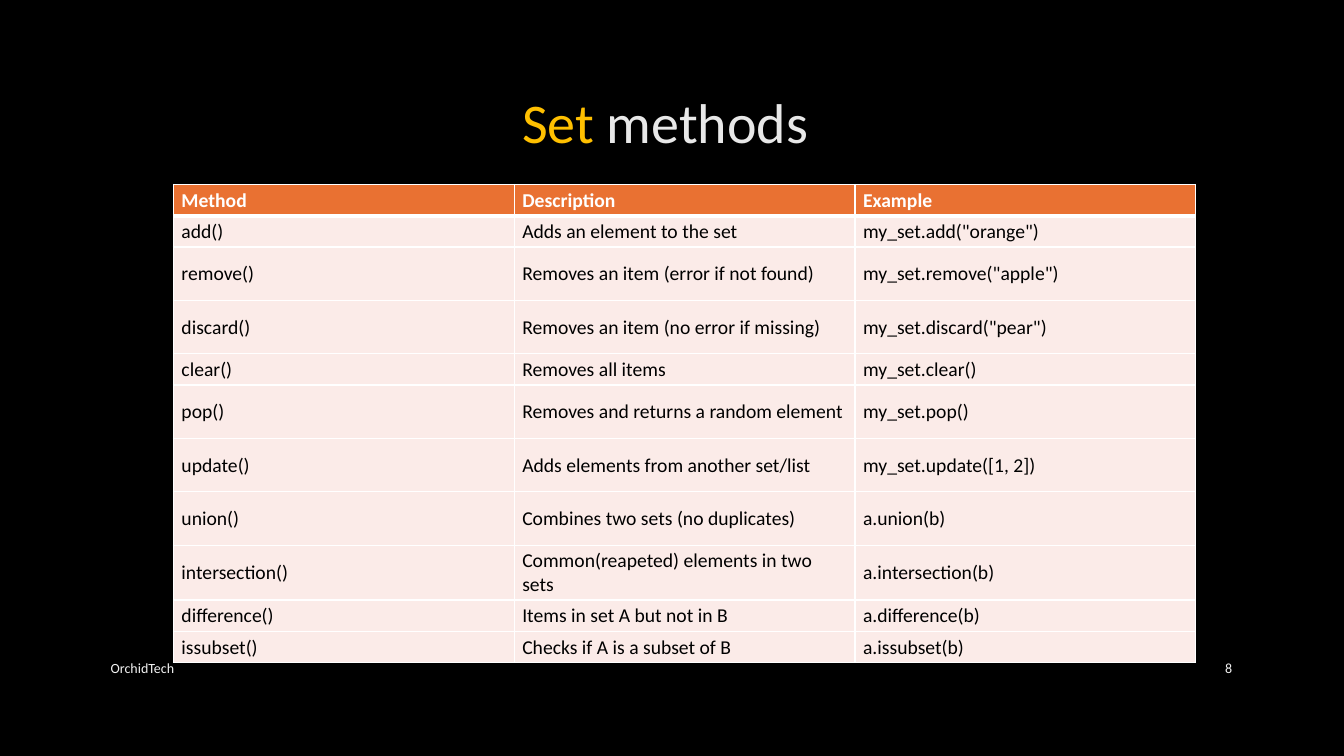
from lxml.etree import SubElement
from pptx import Presentation
from pptx.dml.color import RGBColor
from pptx.enum.text import MSO_ANCHOR as Anchor, PP_ALIGN as Align
from pptx.oxml import parse_xml
from pptx.oxml.ns import qn
from pptx.util import Pt

PX = 9144
FONT = "Calibri"
COLORS = {
    "background": "000000",
    "accent": "FFC000",
    "title": "E8E8E8",
    "outline": "404040",
    "header": "E97132",
    "row": "FBEBE8",
    "border": "FFFFFF",
    "header_text": "FFFFFF",
    "row_text": "000000",
    "footer": "F2F2F2",
}
NAMESPACE = "http://schemas.openxmlformats.org/drawingml/2006/main"
SHORT, TALL = 31, 53
METHODS = [
    (SHORT, "Method", "Description", "Example"),
    (SHORT, "add()", "Adds an element to the set", 'my_set.add("orange")'),
    (TALL, "remove()", "Removes an item (error if not found)", 'my_set.remove("apple")'),
    (TALL, "discard()", "Removes an item (no error if missing)", 'my_set.discard("pear")'),
    (SHORT, "clear()", "Removes all items", "my_set.clear()"),
    (TALL, "pop()", "Removes and returns a random element", "my_set.pop()"),
    (TALL, "update()", "Adds elements from another set/list", "my_set.update([1, 2])"),
    (TALL, "union()", "Combines two sets (no duplicates)", "a.union(b)"),
    (TALL, "intersection()", "Common(reapeted) elements in two sets", "a.intersection(b)"),
    (SHORT, "difference()", "Items in set A but not in B", "a.difference(b)"),
    (SHORT, "issubset()", "Checks if A is a subset of B", "a.issubset(b)"),
]


def scaled(box):
    return [length * PX for length in box]


def color(name):
    return RGBColor.from_string(COLORS[name])


def assign(target, values):
    for name, value in values.items():
        setattr(target, name, value)


def add_span(para, text, size, ink, bold=False):
    span = para.add_run()
    span.text = text
    assign(span.font, {"name": FONT, "size": Pt(size), "bold": bold})
    span.font.color.rgb = color(ink)
    return span


def outline_span(span):
    span.font._element.insert(0, parse_xml(
        f'<a:ln xmlns:a="{NAMESPACE}" w="{Pt(0.75)}"><a:solidFill>'
        f'<a:srgbClr val="{COLORS["outline"]}"><a:alpha val="10000"/></a:srgbClr>'
        '</a:solidFill><a:prstDash val="solid"/></a:ln>'))


def add_title(page, box):
    title = page.shapes.title
    assign(title, dict(zip(("left", "top", "width", "height"), scaled(box))))
    assign(title.text_frame, {"vertical_anchor": Anchor.MIDDLE, "word_wrap": True})
    para = title.text_frame.paragraphs[0]
    para.alignment = Align.CENTER
    for text, ink in (("Set", "accent"), (" methods ", "title")):
        outline_span(add_span(para, text, 40, ink))


def set_borders(cell, widths):
    properties = cell._tc.get_or_add_tcPr()
    for side, width in widths.items():
        line = SubElement(properties, qn(f"a:ln{side}"), w=str(Pt(width)))
        fill = SubElement(line, qn("a:solidFill"))
        SubElement(fill, qn("a:srgbClr"), val=COLORS["border"])


def add_methods_table(page, box):
    frame = page.shapes.add_table(len(METHODS), 3, *scaled(box))
    table = frame.table
    table.horz_banding = False
    for column in table.columns:
        column.width = box[2] * PX // 3
    for index, (height, *texts) in enumerate(METHODS):
        header = index == 0
        table.rows[index].height = height * PX
        for cell, text in zip(table.rows[index].cells, texts):
            assign(cell, {
                "margin_left": 8 * PX, "margin_right": 8 * PX,
                "margin_top": 4 * PX, "margin_bottom": 3 * PX,
                "vertical_anchor": Anchor.MIDDLE,
            })
            set_borders(cell, {"L": 1, "R": 1, "T": 3 if index == 1 else 1, "B": 3 if header else 1})
            cell.fill.solid()
            cell.fill.fore_color.rgb = color("header" if header else "row")
            ink = "header_text" if header else "row_text"
            add_span(cell.text_frame.paragraphs[0], text, 14, ink, header)


def add_footer_text(page, box, text, alignment):
    frame = page.shapes.add_textbox(*scaled(box)).text_frame
    assign(frame, {"word_wrap": True, "vertical_anchor": Anchor.MIDDLE})
    para = frame.paragraphs[0]
    para.alignment = alignment
    add_span(para, text, 10, "footer")


def add_footer(page, box):
    left, top, width, height = box
    number_width = 82
    add_footer_text(page, (left, top, 730, height), "OrchidTech", Align.LEFT)
    number_box = (left + width - number_width, top, number_width, height)
    add_footer_text(page, number_box, "8", Align.RIGHT)


def main():
    deck = Presentation()
    assign(deck, {"slide_width": 1333 * PX, "slide_height": 750 * PX})
    page = deck.slides.add_slide(deck.slide_layouts[5])
    page.background.fill.solid()
    page.background.fill.fore_color.rgb = color("background")
    add_title(page, (100, 67, 1132, 106))
    add_methods_table(page, (172, 183, 1014, 473))
    add_footer(page, (100, 643, 1132, 40))
    deck.save("out.pptx")


if __name__ == "__main__":
    main()
